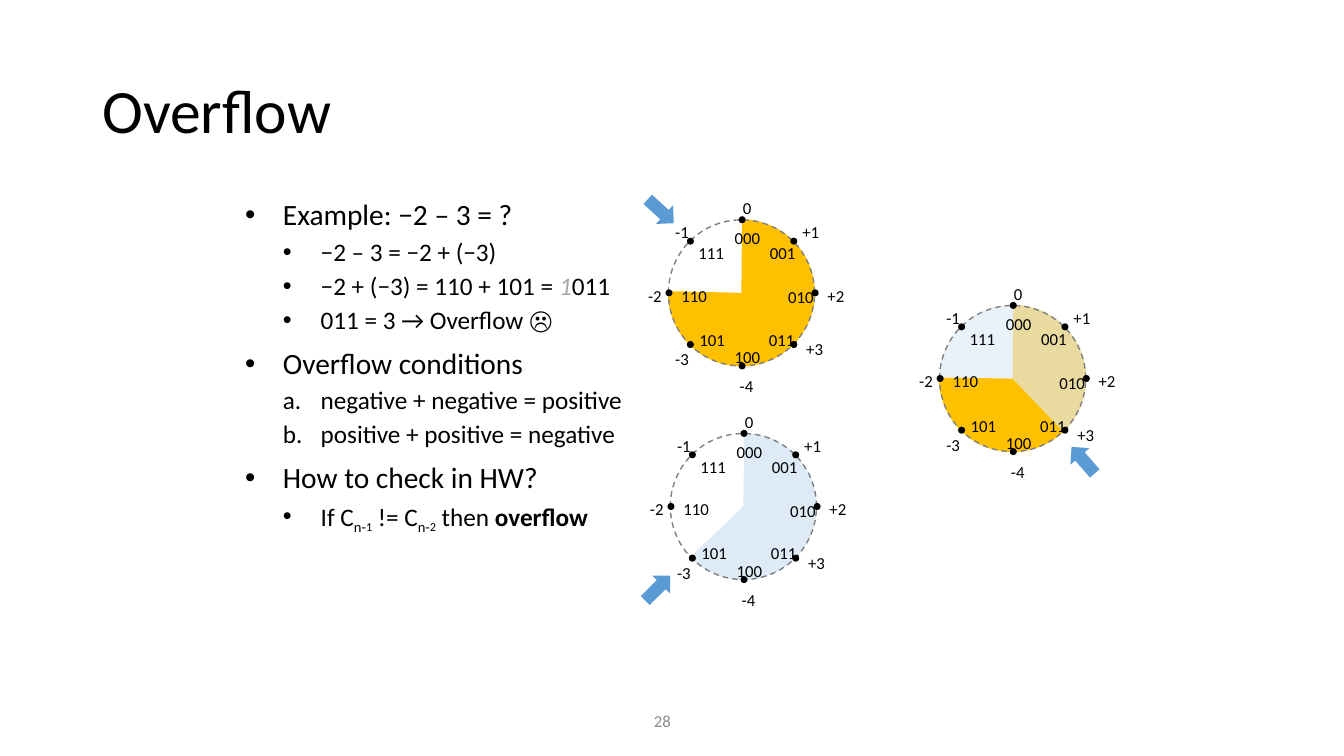
import math
from dataclasses import dataclass

import lxml.etree
import pptx
import pptx.dml.color
import pptx.enum.dml
import pptx.enum.shapes
import pptx.enum.text
import pptx.oxml.ns
import pptx.util

Pt = pptx.util.Pt
Kind = pptx.enum.shapes.MSO_SHAPE
Anchor = pptx.enum.text.MSO_ANCHOR
Fit = pptx.enum.text.MSO_AUTO_SIZE


@dataclass(frozen=True)
class Theme:
    font: str = "Calibri"
    ink: str = "000000"
    grey: str = "8C8C8C"
    faint: str = "A6A6A6"
    rim: str = "808080"
    gold: str = "FFC000"
    pale: str = "DEEBF7"
    blue: str = "5B9BD5"
    title: int = 44
    head: int = 21
    body: int = 18
    sub: int = 15
    small: int = 12


theme = Theme()

POINTS = [
    ("000", -11.9, -50, "0", -6.1, -71.6, 20.9),
    ("001", 13.3, -39.2, "+1", 36.4, -54.4, 26.6),
    ("010", 26.3, -7.6, "+2", 54.4, -9, 26.6),
    ("011", 12.6, 22.7, "+3", 39.2, 29.2, 26.6),
    ("100", -11.9, 34.9, "-4", -8.3, 55.8, 24.5),
    ("101", -37.1, 22.7, "-3", -54.4, 36.4, 24.5),
    ("110", -50, -9, "-2", -73.8, -9, 24.5),
    ("111", -37.8, -39.2, "-1", -54.4, -54.4, 24.5),
]

WHEELS = [
    ((529.6, 209.2), [(theme.gold, 270.5, 181.34, 0, 100)], (-57.6, -58.3, 312.5)),
    ((531, 361.8), [(theme.pale, 270.79, 136.3, 0, 100)], (-61.2, 58.3, 225.2)),
    ((723.3, 270.4), [(theme.gold, 270.5, 180.78, 0, 100),
                      (theme.pale, 270.79, 136.3, 270, 65)], (50.4, 58.3, 138.8)),
]

SUB = {"base": -25}
DIGIT = {"base": -25, "size": theme.sub}
LINES = [
    (0, "•", [("Example: −2 – 3 = ?", {})]),
    (1, "•", [("−2 – 3 = −2 + (−3)", {})]),
    (1, "•", [("−2 + (−3) = 110 + 101 = ", {}),
              ("1", {"italic": True, "color": theme.faint}), ("011", {})]),
    (1, "•", [("011 = 3 → Overflow ☹", {})]),
    (0, "•", [("Overflow conditions", {})]),
    (1, "a", [("negative + negative = positive", {})]),
    (1, "a", [("positive + positive = negative", {})]),
    (0, "•", [("How to check in HW?", {})]),
    (1, "•", [("If C", {}), ("n-", SUB), ("1", DIGIT), (" != C", {}),
              ("n-", SUB), ("2", DIGIT), (" then ", {}), ("overflow", {"bold": True})]),
]


def rgb(code):
    return pptx.dml.color.RGBColor.from_string(code)


def style(font, size, color):
    font.name = theme.font
    font.size = Pt(size)
    font.color.rgb = rgb(color)


def label(shapes, box, text, size, color=theme.ink, wrap=True, anchor=Anchor.TOP):
    frame = shapes.add_textbox(*map(Pt, box)).text_frame
    frame.word_wrap = wrap
    frame.auto_size = Fit.NONE if wrap else Fit.SHAPE_TO_FIT_TEXT
    frame.vertical_anchor = anchor
    para = frame.paragraphs[0]
    para.text = text
    style(para.font, size, color)
    return para


def shape(shapes, kind, mid, size, fill=None, turn=0):
    (x, y), (w, h) = mid, size
    item = shapes.add_shape(kind, Pt(x - w / 2), Pt(y - h / 2), Pt(w), Pt(h))
    item.shadow.inherit = False
    item.rotation = turn
    item.line.fill.background()
    if fill:
        item.fill.solid()
        item.fill.fore_color.rgb = rgb(fill)
    else:
        item.fill.background()
    return item


def sector(shapes, mid, color, start, end, turn, alpha):
    pie = shape(shapes, Kind.PIE, mid, (105, 105), color, turn)
    pie.adjustments[0] = start * 0.6
    pie.adjustments[1] = end * 0.6
    if alpha < 100:
        tone = pie.fill._xPr.find(".//" + pptx.oxml.ns.qn("a:srgbClr"))
        lxml.etree.SubElement(tone, pptx.oxml.ns.qn("a:alpha"), val=str(alpha * 1000))


def wheel(slide, mid, parts, arrow):
    shapes = slide.shapes.add_group_shape().shapes
    x, y = mid
    for part in parts:
        sector(shapes, mid, *part)
    ring = shape(shapes, Kind.OVAL, mid, (104.4, 104.4))
    ring.line.color.rgb = rgb(theme.rim)
    ring.line.width = Pt(1)
    ring.line.dash_style = pptx.enum.dml.MSO_LINE.DASH
    for step, (code, cx, cy, value, vx, vy, wide) in enumerate(POINTS):
        turn = math.radians(45 * step)
        dot = (x + 0.5 + 52.2 * math.sin(turn), y - 52.2 * math.cos(turn))
        shape(shapes, Kind.OVAL, dot, (5, 5), theme.ink)
        label(shapes, (x + cx, y + cy, 33.1, 21.6), code, theme.small, wrap=False)
        label(shapes, (x + vx, y + vy, wide, 21.6), value, theme.small, wrap=False)
    dx, dy, turn = arrow
    shape(shapes, Kind.DOWN_ARROW, (x + dx, y + dy), (18, 25.2), theme.blue, turn)


def bullet(para, level, mark):
    props = para._p.get_or_add_pPr()
    props.set("marL", str(Pt(27 * (level + 1))))
    props.set("indent", str(-Pt(27)))
    if mark == "a":
        lxml.etree.SubElement(props, pptx.oxml.ns.qn("a:buAutoNum"), type="alphaLcPeriod")
    else:
        lxml.etree.SubElement(props, pptx.oxml.ns.qn("a:buFont"), typeface="Arial")
        lxml.etree.SubElement(props, pptx.oxml.ns.qn("a:buChar"), char=mark)


def notes(slide, box):
    frame = slide.shapes.add_textbox(*map(Pt, box)).text_frame
    frame.word_wrap = True
    for row, (level, mark, runs) in enumerate(LINES):
        para = frame.add_paragraph() if row else frame.paragraphs[0]
        para.level = level
        bullet(para, level, mark)
        para.line_spacing = 0.9
        para.space_before = Pt((5 if level else 10) if row else 0)
        style(para.font, theme.body if level else theme.head, theme.ink)
        for text, look in runs:
            run = para.add_run()
            run.text = text
            if "base" in look:
                run._r.get_or_add_rPr().set("baseline", str(look["base"] * 1000))
            if "size" in look:
                run.font.size = Pt(look["size"])
            if "color" in look:
                run.font.color.rgb = rgb(look["color"])
            if "italic" in look:
                run.font.italic = True
            if "bold" in look:
                run.font.bold = True


def main():
    deck = pptx.Presentation()
    deck.slide_width, deck.slide_height = Pt(960), Pt(540)
    slide = deck.slides.add_slide(deck.slide_layouts[6])
    title = label(slide.shapes, (66, 28.8, 828, 104.4), "Overflow", theme.title,
                  anchor=Anchor.MIDDLE)
    title.line_spacing = 0.9
    notes(slide, (168, 139.7, 288.7, 303))
    for mid, parts, arrow in WHEELS:
        wheel(slide, mid, parts, arrow)
    label(slide.shapes, (460, 500.4, 57, 28.8), "28", theme.small, theme.grey,
          anchor=Anchor.MIDDLE)
    deck.save("out.pptx")


if __name__ == "__main__":
    main()
